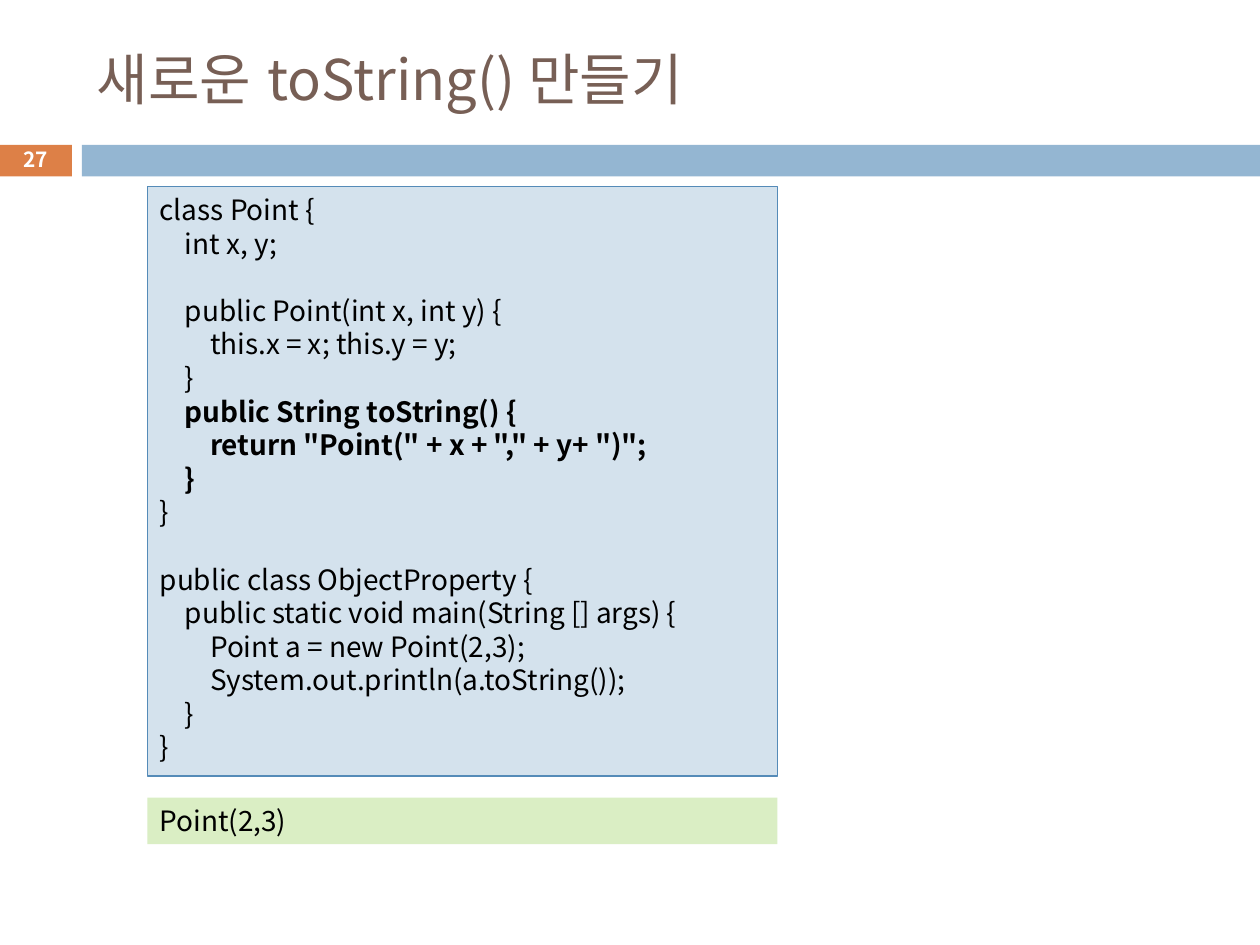
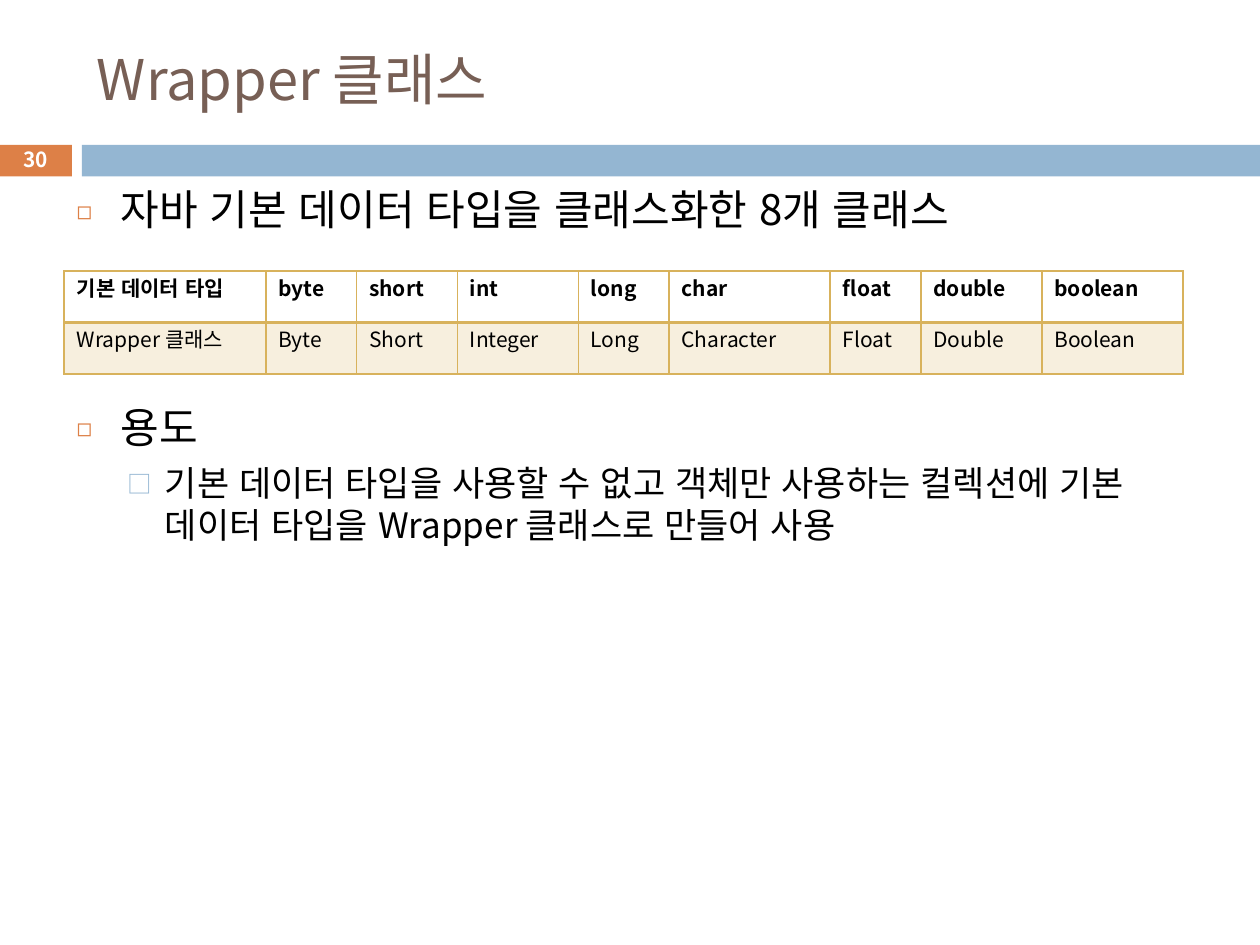
from lxml import etree
from pptx import Presentation
from pptx import util as u
from pptx.dml import color
from pptx.enum import lang, shapes, text
from pptx.oxml import ns

FONT = "Noto Sans CJK KR"
BLACK, WHITE, BROWN = "000000", "FFFFFF", "775F55"
ORANGE, BLUE, GOLD = "DD8047", "94B6D2", "D8B25C"
CODE_FILL, CODE_LINE, OUTPUT_FILL = "D4E2ED", "558BB8", "DAEEC4"
LINE_PITCH = 1.2
TAB_STEP = 0.2

POINT_CLASS = """class Point {
\tint x, y;

\tpublic Point(int x, int y) {
\t\tthis.x = x; this.y = y;
\t}
"""
TO_STRING = """\tpublic String toString() {
\t\treturn "Point(" + x + "," + y+ ")";
\t}
"""
MAIN_CLASS = """}

public class ObjectProperty {
\tpublic static void main(String [] args) {
\t\tPoint a = new Point(2,3);
\t\tSystem.out.println(a.toString());
\t}
}"""
WRAPPERS = {
    "기본 데이터 타입": "Wrapper 클래스", "byte": "Byte", "short": "Short",
    "int": "Integer", "long": "Long", "char": "Character",
    "float": "Float", "double": "Double", "boolean": "Boolean",
}
WRAPPER_WIDTHS = [1.6, 0.72, 0.8, 0.96, 0.72, 1.28, 0.72, 0.96, 1.12]


def rgb(value):
    """Turn a hex string into a colour."""
    return color.RGBColor.from_string(value)


def sub(parent, tag, **attributes):
    """Append a drawing element to a parent."""
    values = {name: str(value) for name, value in attributes.items()}
    return etree.SubElement(parent, ns.qn(tag), values)


def write(paragraph, content, size=16, ink=BLACK, bold=False, before=0,
          align=text.PP_ALIGN.LEFT):
    """Write one formatted run into a paragraph."""
    paragraph.alignment = align
    paragraph.line_spacing = u.Pt(round(size * LINE_PITCH, 2))
    paragraph.space_before = u.Pt(before)
    run = paragraph.add_run()
    run.text = content
    font = run.font
    font.name, font.size, font.bold = FONT, u.Pt(size), bold
    font.color.rgb = rgb(ink)
    font.language_id = lang.MSO_LANGUAGE_ID.KOREAN
    sub(run._r.get_or_add_rPr(), "a:ea", typeface=FONT)


def border(cell, side, width):
    """Draw one side of a table cell."""
    line = sub(cell._tc.get_or_add_tcPr(), f"a:ln{side}", w=u.Pt(width))
    sub(sub(line, "a:solidFill"), "a:srgbClr", val=GOLD)


class Deck:
    """Holds the lecture style and the slide being built."""

    def __init__(self):
        """Start an empty 4:3 presentation."""
        self.presentation = Presentation()
        self.presentation.slide_width = u.Inches(10)
        self.presentation.slide_height = u.Inches(7.5)
        self.slide = None

    def start(self, title, number):
        """Add a slide with its bands, title and page number."""
        self.slide = self.presentation.slides.add_slide(
            self.presentation.slide_layouts[6])
        self.rectangle(-0.01, 1.15, 0.58, 0.25, ORANGE)
        self.rectangle(0.65, 1.15, 9.35, 0.25, BLUE)
        heading = self.frame(0.67, 0.25, 8.92, 0.74, text.MSO_ANCHOR.MIDDLE)
        write(heading.paragraphs[0], title, size=32, ink=BROWN)
        page = self.frame(-0.01, 1.13, 0.58, 0.27, text.MSO_ANCHOR.MIDDLE)
        write(page.paragraphs[0], number, size=11.9, ink=WHITE, bold=True,
              align=text.PP_ALIGN.CENTER)

    def rectangle(self, left, top, width, height, fill, outline=None):
        """Add a flat rectangle."""
        panel = self.slide.shapes.add_shape(
            shapes.MSO_SHAPE.RECTANGLE, u.Inches(left), u.Inches(top),
            u.Inches(width), u.Inches(height))
        panel.shadow.inherit = False
        panel.fill.solid()
        panel.fill.fore_color.rgb = rgb(fill)
        if outline:
            panel.line.color.rgb = rgb(outline)
            panel.line.width = u.Pt(0.75)
        else:
            panel.line.fill.background()
        return panel

    def frame(self, left, top, width, height, anchor=text.MSO_ANCHOR.TOP):
        """Add a wrapping text box and return its text frame."""
        frame = self.slide.shapes.add_textbox(
            u.Inches(left), u.Inches(top), u.Inches(width),
            u.Inches(height)).text_frame
        frame.word_wrap = True
        frame.vertical_anchor = anchor
        return frame

    def code(self, panel, *parts):
        """Write (source, bold) parts as code lines in a panel."""
        frame = panel.text_frame
        frame.word_wrap = True
        frame.vertical_anchor = text.MSO_ANCHOR.TOP
        paragraph, gap = frame.paragraphs[0], 0
        lines = [(line, bold) for source, bold in parts
                 for line in source.splitlines()]
        for index, (line, bold) in enumerate(lines):
            if not line:
                gap = 16 * LINE_PITCH
                continue
            if index:
                paragraph = frame.add_paragraph()
            tabs = sub(paragraph._p.get_or_add_pPr(), "a:tabLst")
            for level in (1, 2):
                sub(tabs, "a:tab", pos=u.Inches(level * TAB_STEP), algn="l")
            write(paragraph, line, bold=bold, before=gap)
            gap = 0

    def bullet(self, paragraph, content, level=0, before=0):
        """Write a bulleted paragraph of the given level."""
        left, hang, sign, ink, scale, size = [
            (0.35, 0.35, "◻", ORANGE, 60, 24),
            (0.7, 0.3, "□", BLUE, 70, 20)][level]
        paragraph.level = level
        props = paragraph._p.get_or_add_pPr()
        props.set("marL", str(u.Inches(left)))
        props.set("indent", str(-u.Inches(hang)))
        sub(sub(props, "a:buClr"), "a:srgbClr", val=ink)
        sub(props, "a:buSzPct", val=scale * 1000)
        sub(props, "a:buFont", typeface=FONT)
        sub(props, "a:buChar", char=sign)
        write(paragraph, content, size=size, before=before)

    def table(self, left, top, widths, row_height, rows):
        """Add a ruled table with a bold header and tinted body."""
        grid = self.slide.shapes.add_table(
            len(rows), len(widths), u.Inches(left), u.Inches(top),
            u.Inches(sum(widths)), u.Inches(row_height * len(rows))).table
        grid.first_row = grid.horz_banding = False
        for column, width in zip(grid.columns, widths):
            column.width = u.Inches(width)
        for r, row in enumerate(rows):
            grid.rows[r].height = u.Inches(row_height)
            for c, content in enumerate(row):
                cell = grid.cell(r, c)
                write(cell.text_frame.paragraphs[0], content, size=12,
                      bold=r == 0)
                for side in "LRTB":
                    border(cell, side, 2 if (r, side) in
                           ((0, "B"), (1, "T")) else 1)
                if r == 0:
                    cell.fill.background()
                    continue
                cell.fill.solid()
                cell.fill.fore_color.rgb = rgb(GOLD)
                tint = cell._tc.tcPr.find(
                    f"{ns.qn('a:solidFill')}/{ns.qn('a:srgbClr')}")
                sub(tint, "a:alpha", val=20000)


def build_to_string(deck):
    """Build the toString() example."""
    deck.start("새로운 toString() 만들기", "27")
    listing = deck.rectangle(1.17, 1.48, 5, 4.68, CODE_FILL, CODE_LINE)
    deck.code(listing, (POINT_CLASS, False), (TO_STRING, True),
              (MAIN_CLASS, False))
    output = deck.rectangle(1.17, 6.33, 5, 0.37, OUTPUT_FILL)
    deck.code(output, ("Point(2,3)", False))


def build_wrapper(deck):
    """Build the overview of the wrapper classes."""
    deck.start("Wrapper 클래스", "30")
    body = deck.frame(0.51, 1.41, 9.08, 5.65)
    deck.bullet(body.paragraphs[0], "자바 기본 데이터 타입을 클래스화한 8개 클래스")
    deck.bullet(body.add_paragraph(), "용도", before=95.5)
    deck.bullet(body.add_paragraph(),
                "기본 데이터 타입을 사용할 수 없고 객체만 사용하는 컬렉션에 기본 "
                "데이터 타입을 Wrapper 클래스로 만들어 사용", level=1, before=5.5)
    deck.table(0.51, 2.15, WRAPPER_WIDTHS, 0.41,
               [list(WRAPPERS), list(WRAPPERS.values())])


def main():
    """Build and save both slides."""
    deck = Deck()
    build_to_string(deck)
    build_wrapper(deck)
    deck.presentation.save("out.pptx")


if __name__ == "__main__":
    main()
